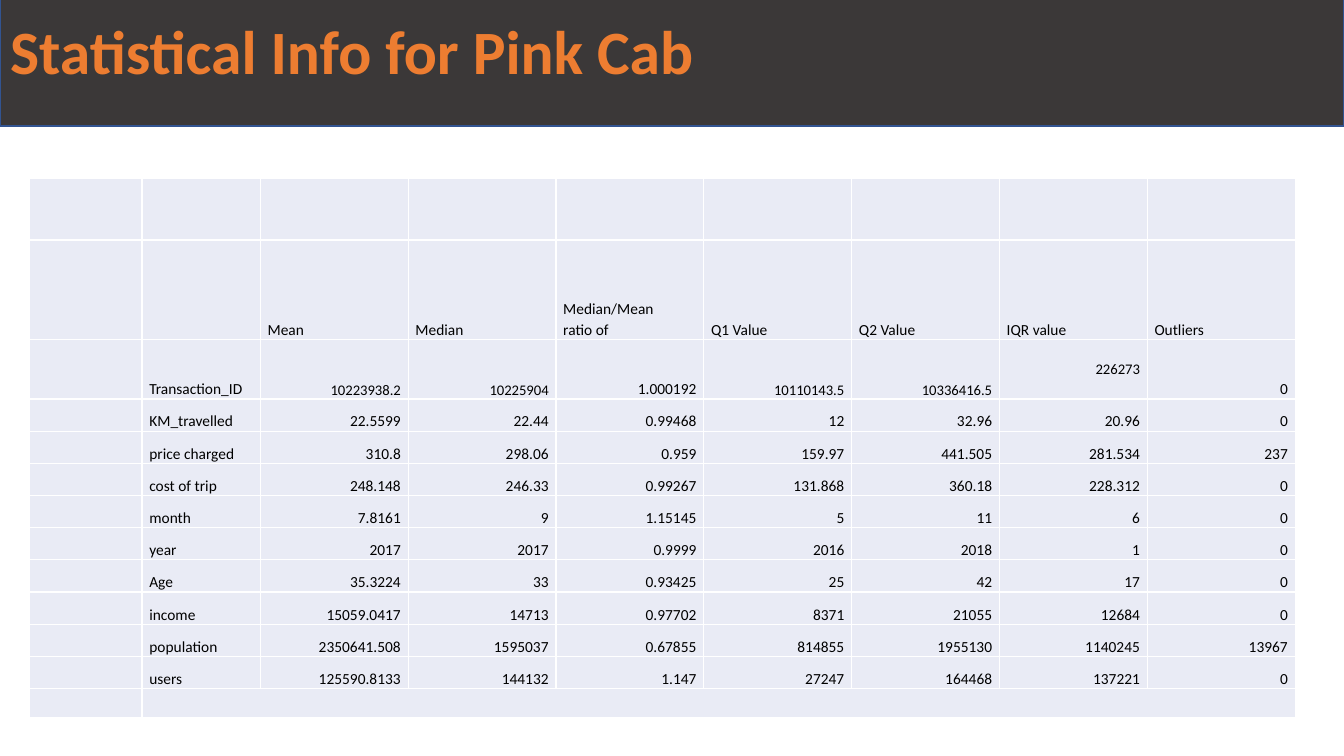
"""Build a slide with a table of cab trip statistics."""
import pptx
import pptx.util
import pptx.dml.color
import pptx.enum.text
import pptx.oxml.ns
import lxml.etree

Pt = pptx.util.Pt
RGB = pptx.dml.color.RGBColor.from_string
qn = pptx.oxml.ns.qn
Align = pptx.enum.text.PP_ALIGN
Anchor = pptx.enum.text.MSO_ANCHOR

HUES = {"band": "3B3838", "edge": "325491", "title": "ED7D31",
        "cell": "E9EBF5", "grid": "FFFFFF", "text": "000000"}
WIDTHS = [80.5, 84.5] + [105.6] * 7
HEIGHTS = [44, 71, 42.5] + [23] * 9 + [20.7]
ROWS = [
    ["", "Mean", "Median", "Median/Mean\nratio of", "Q1 Value", "Q2 Value", "IQR value", "Outliers"],
    ["Transaction_ID", "10223938.2", "10225904", "1.000192", "10110143.5", "10336416.5", "226273", "0"],
    ["KM_travelled", "22.5599", "22.44", "0.99468", "12", "32.96", "20.96", "0"],
    ["price charged", "310.8", "298.06", "0.959", "159.97", "441.505", "281.534", "237"],
    ["cost of trip", "248.148", "246.33", "0.99267", "131.868", "360.18", "228.312", "0"],
    ["month", "7.8161", "9", "1.15145", "5", "11", "6", "0"],
    ["year", "2017", "2017", "0.9999", "2016", "2018", "1", "0"],
    ["Age", "35.3224", "33", "0.93425", "25", "42", "17", "0"],
    ["income", "15059.0417", "14713", "0.97702", "8371", "21055", "12684", "0"],
    ["population", "2350641.508", "1595037", "0.67855", "814855", "1955130", "1140245", "13967"],
    ["users", "125590.8133", "144132", "1.147", "27247", "164468", "137221", "0"],
]
SMALL = {"10223938.2", "10225904", "10110143.5", "10336416.5", "226273"}


def apply(item, form):
    for key, value in form.items():
        setattr(item, key, value)


def style(font, size, hue, bold=False):
    apply(font, {"name": "Calibri", "size": Pt(size), "bold": bold})
    font.color.rgb = RGB(HUES[hue])


deck = pptx.Presentation()
apply(deck, {"slide_width": Pt(960), "slide_height": Pt(540)})
slide = deck.slides.add_slide(deck.slide_layouts[5])

title = slide.shapes.title
apply(title, {"left": Pt(0), "top": Pt(-18.7), "width": Pt(960), "height": Pt(108.7)})
title.fill.solid()
title.fill.fore_color.rgb = RGB(HUES["band"])
title.line.color.rgb = RGB(HUES["edge"])
title.line.width = Pt(1)
frame = title.text_frame
frame.text = "Statistical Info for Pink Cab"
apply(frame, {"vertical_anchor": Anchor.MIDDLE, "word_wrap": True,
              "auto_size": pptx.enum.text.MSO_AUTO_SIZE.NONE})
frame.paragraphs[0].alignment = Align.LEFT
style(frame.paragraphs[0].runs[0].font, 44, "title", True)

table = slide.shapes.add_table(len(HEIGHTS), len(WIDTHS), Pt(21), Pt(127.5),
                               Pt(sum(WIDTHS)), Pt(sum(HEIGHTS))).table
apply(table, {"first_row": False, "horz_banding": False})
for col, width in zip(table.columns, WIDTHS):
    col.width = Pt(width)
for row, height in zip(table.rows, HEIGHTS):
    row.height = Pt(height)

blank = [""] * len(WIDTHS)
grid = [blank] + [[""] + row for row in ROWS] + [blank]
for r, row in enumerate(grid):
    for c, text in enumerate(row):
        cell = table.cell(r, c)
        apply(cell, {"margin_left": Pt(5.2), "margin_right": Pt(5.2),
                     "margin_top": Pt(0), "margin_bottom": Pt(0),
                     "vertical_anchor": Anchor.MIDDLE if text == "226273" else Anchor.BOTTOM})
        props = cell._tc.get_or_add_tcPr()
        for side in ("lnL", "lnR", "lnT", "lnB"):
            line = lxml.etree.SubElement(props, qn("a:" + side), w=str(Pt(1)))
            fill = lxml.etree.SubElement(line, qn("a:solidFill"))
            lxml.etree.SubElement(fill, qn("a:srgbClr"), val=HUES["grid"])
        cell.fill.solid()
        cell.fill.fore_color.rgb = RGB(HUES["cell"])
        para = cell.text_frame.paragraphs[0]
        if not text:
            lxml.etree.SubElement(para._p, qn("a:endParaRPr"), sz="1100")
            continue
        para.text = text
        apply(para, {"line_spacing": 1.07,
                     "alignment": Align.RIGHT if r > 1 and c > 1 else Align.LEFT})
        for run in para.runs:
            style(run.font, 10.5 if text in SMALL else 11, "text")
        for gap in para._p.findall(qn("a:br")):
            lxml.etree.SubElement(gap, qn("a:rPr"), sz="1100")
table.cell(12, 1).merge(table.cell(12, 8))

deck.save("out.pptx")
